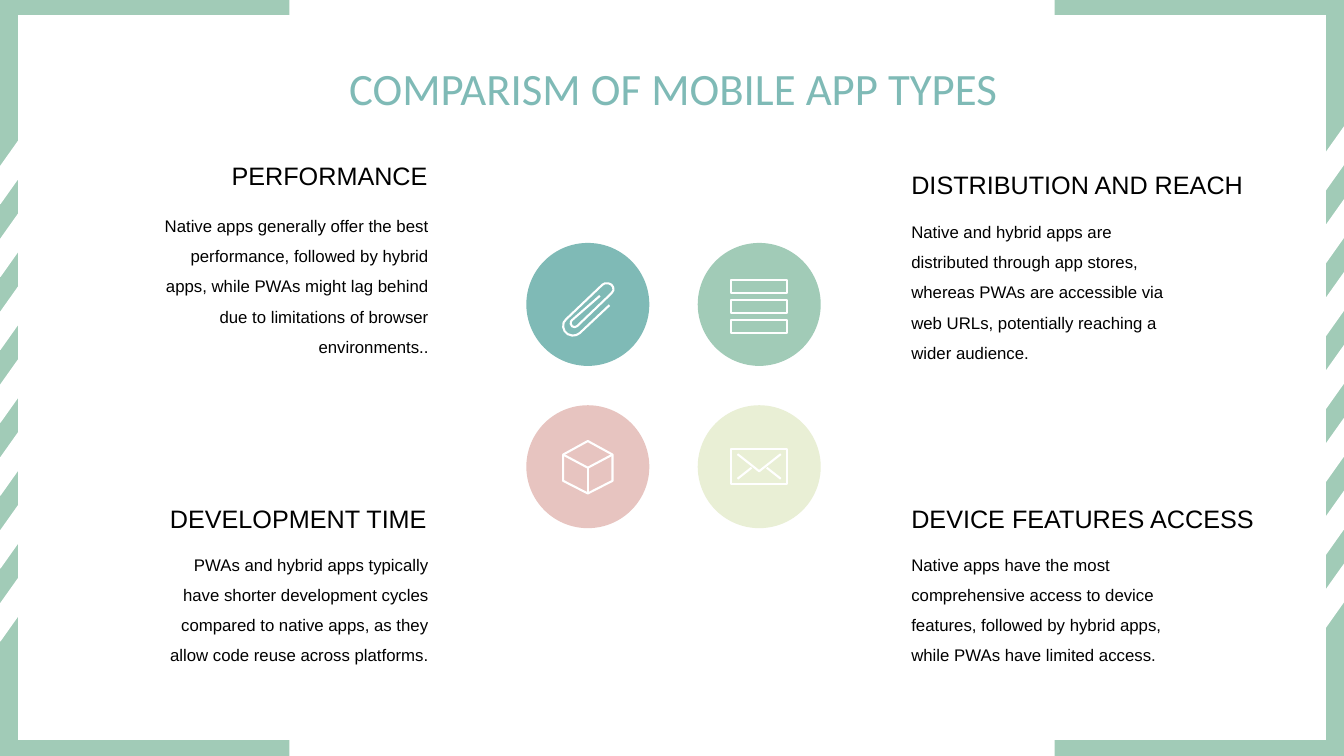
"""Build the slide that compares mobile app types."""
import pptx
import pptx.util
import pptx.dml.color
import pptx.enum.shapes
import pptx.enum.text

WIDTH, HEIGHT = 13.33, 7.5
COLORS = {"teal": "7FBAB6", "green": "A1CBB7", "cream": "E9EFD5",
          "pink": "E7C4C0", "white": "FFFFFF", "black": "000000"}
SHAPES = pptx.enum.shapes.MSO_SHAPE
ALIGN = pptx.enum.text.PP_ALIGN

TITLE = "COMPARISM OF MOBILE APP TYPES"
TOPICS = [
    ("PERFORMANCE", (2.01, 1.39, 2.33, 0.55),
     "Native apps generally offer the best performance, followed by hybrid apps, "
     "while PWAs might lag behind due to limitations of browser environments..",
     (1.43, 1.99, 2.92, 1.61), ALIGN.RIGHT),
    ("DEVELOPMENT TIME", (1.55, 4.79, 2.78, 0.55),
     "PWAs and hybrid apps typically have shorter development cycles compared to "
     "native apps, as they allow code reuse across platforms.",
     (1.47, 5.35, 2.88, 1.31), ALIGN.RIGHT),
    ("DISTRIBUTION AND REACH", (8.94, 1.48, 3.51, 0.55),
     "Native and hybrid apps are distributed through app stores, whereas PWAs are "
     "accessible via web URLs, potentially reaching a wider audience.",
     (8.94, 2.05, 2.88, 1.61), ALIGN.LEFT),
    ("DEVICE FEATURES ACCESS", (8.94, 4.79, 3.9, 0.55),
     "Native apps have the most comprehensive access to device features, followed "
     "by hybrid apps, while PWAs have limited access.",
     (8.94, 5.35, 2.88, 1.31), ALIGN.LEFT),
]


def box_outline(top, bottom, half=280):
    """Return a closed box outline around the icon's centre line."""
    return [(-half, top), (half, top), (half, bottom), (-half, bottom), (-half, top)]


CLIP = [[(215, 8), (-80, 285), (-115, 305), (-155, 309), (-200, 295), (-230, 265),
         (-244, 225), (-240, 180), (-215, 148), (145, -195), (170, -209),
         (205, -209), (235, -195), (252, -170), (254, -140), (235, -110),
         (-105, 215), (-130, 226), (-155, 218), (-169, 195), (-167, 170),
         (-155, 155), (120, -85)]]
BARS = [box_outline(middle - 63, middle + 63) for middle in (-175, 22, 222)]
CUBE = [[(0, -255), (245, -120), (245, 140), (0, 265), (-245, 140), (-245, -120),
         (0, -255)],
        [(-245, -120), (0, 10), (245, -120)], [(0, 10), (0, 265)]]
ENVELOPE = [box_outline(-175, 175), [(-215, -125), (0, 45), (215, -125)],
            [(-215, 120), (-75, 10)], [(215, 120), (75, 10)]]
BADGES = [[("teal", CLIP), ("green", BARS)], [("pink", CUBE), ("cream", ENVELOPE)]]
BADGE_SIZE = 1.22
BADGE_LEFT, BADGE_TOP = 5.22, 2.41
BADGE_STEP_X, BADGE_STEP_Y = 1.7, 1.61

STRIPE_COUNT, STRIPE_TOP, STRIPE_STEP = 7, 1.49, 0.723
STRIPE_LEFTS = (-0.24, 12.81)

presentation = pptx.Presentation()
presentation.slide_width = pptx.util.Inches(WIDTH)
presentation.slide_height = pptx.util.Inches(HEIGHT)
slide = presentation.slides.add_slide(presentation.slide_layouts[6])


def inches(*lengths):
    """Convert lengths in inches."""
    return [pptx.util.Inches(length) for length in lengths]


def color(name):
    """Look up a named colour."""
    return pptx.dml.color.RGBColor.from_string(COLORS[name])


def add_filled(kind, place, fill):
    """Add a preset shape with a plain fill and no outline."""
    shape = slide.shapes.add_shape(kind, *inches(*place))
    shape.shadow.inherit = False
    shape.fill.solid()
    shape.fill.fore_color.rgb = color(fill)
    shape.line.fill.background()
    return shape


def set_outline(shape, width):
    """Give a shape a white outline."""
    shape.line.color.rgb = color("white")
    shape.line.width = pptx.util.Pt(width)


def add_text(text, place, size=12, font="Arial", fill="black",
             align=ALIGN.LEFT, spacing=1.5):
    """Add a wrapped text box with one paragraph."""
    frame = slide.shapes.add_textbox(*inches(*place)).text_frame
    frame.word_wrap = True
    frame.auto_size = pptx.enum.text.MSO_AUTO_SIZE.SHAPE_TO_FIT_TEXT
    paragraph = frame.paragraphs[0]
    paragraph.alignment = align
    paragraph.line_spacing = spacing
    run = paragraph.add_run()
    run.text = text
    run.font.size = pptx.util.Pt(size)
    run.font.name = font
    run.font.color.rgb = color(fill)


def add_icon(strokes, center_x, center_y):
    """Draw an icon from strokes in thousandths of an inch."""
    builder = slide.shapes.build_freeform(*strokes[0][0], scale=914.4)
    for index, stroke in enumerate(strokes):
        if index:
            builder.move_to(*stroke[0])
        builder.add_line_segments(stroke[1:], close=False)
    shape = builder.convert_to_shape(*inches(center_x, center_y))
    shape.shadow.inherit = False
    shape.fill.background()
    set_outline(shape, 1.5)


def add_frame():
    """Add the green frame with its striped sides."""
    add_filled(SHAPES.RECTANGLE, (0, 0, WIDTH, HEIGHT), "green")
    add_filled(SHAPES.RECTANGLE, (2.87, 0, 7.59, HEIGHT), "white")
    add_filled(SHAPES.RECTANGLE, (0.18, 0.15, 12.97, 7.19), "white")
    for left in STRIPE_LEFTS:
        for row in range(STRIPE_COUNT):
            place = (left, STRIPE_TOP + row * STRIPE_STEP, 0.77, 0.29)
            stripe = add_filled(SHAPES.PARALLELOGRAM, place, "white")
            stripe.adjustments[0] = 1.41
            stripe.rotation = 270
            stripe.element.spPr.xfrm.set("flipH", "1")
            set_outline(stripe, 1)


def add_badges():
    """Add the grid of round badges with their icons."""
    for row, badges in enumerate(BADGES):
        for column, (fill, strokes) in enumerate(badges):
            left = BADGE_LEFT + column * BADGE_STEP_X
            top = BADGE_TOP + row * BADGE_STEP_Y
            add_filled(SHAPES.OVAL, (left, top, BADGE_SIZE, BADGE_SIZE), fill)
            add_icon(strokes, left + BADGE_SIZE / 2, top + BADGE_SIZE / 2)


def main():
    """Assemble and save the slide."""
    add_frame()
    add_badges()
    for heading, heading_place, body, body_place, align in TOPICS:
        add_text(heading, heading_place, size=18, align=align)
        add_text(body, body_place, align=align)
    add_text(TITLE, (2.32, 0.55, 8.72, 0.64), size=32, font="Calibri",
             fill="teal", align=ALIGN.CENTER, spacing=1.0)
    presentation.save("out.pptx")


if __name__ == "__main__":
    main()
